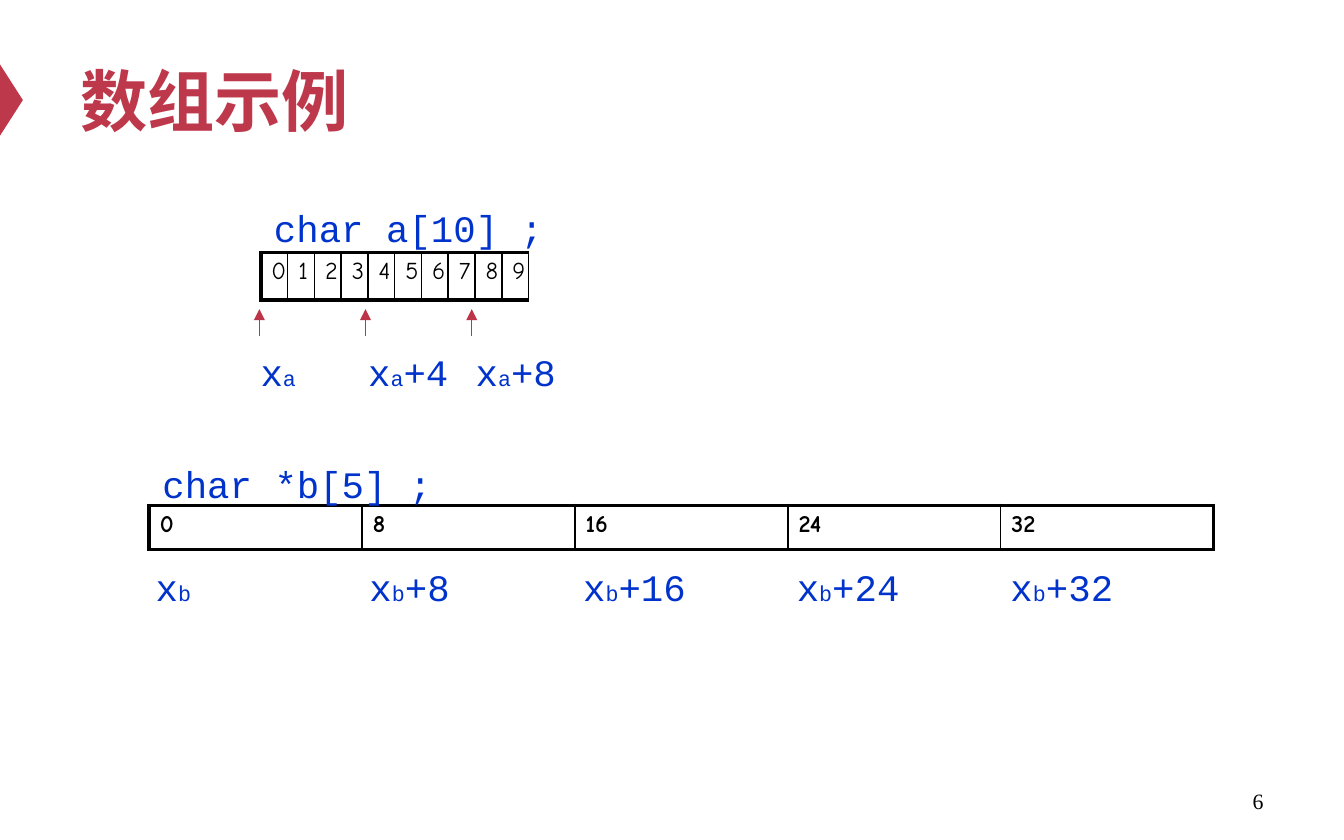
import pptx
import pptx.dml.color
import pptx.enum.shapes
import pptx.enum.text
import pptx.oxml.ns
import pptx.oxml.xmlchemy
import pptx.util
import lxml.etree

RED = pptx.dml.color.RGBColor(0xBE, 0x38, 0x4B)
ARROW_RED = pptx.dml.color.RGBColor(0xBD, 0x33, 0x47)
BLUE = pptx.dml.color.RGBColor(0x00, 0x33, 0xCC)
BLACK = pptx.dml.color.RGBColor(0x00, 0x00, 0x00)

EMU_PER_PX = 9144
THIN = 1
THICK = 2.25

ALIGN = pptx.enum.text.PP_ALIGN
ANCHOR = pptx.enum.text.MSO_ANCHOR
SHAPE = pptx.enum.shapes.MSO_SHAPE
CONNECTOR = pptx.enum.shapes.MSO_CONNECTOR

TITLE = {"name": "Arial", "size": 36, "bold": True, "color": RED}
CODE = {"name": "Courier New", "size": 20, "color": BLUE}
CELL = {"name": "Comic Neue", "size": 13, "color": BLACK}
CELL_BOLD = {**CELL, "bold": True}
NUMBER = {"name": "Times New Roman", "size": 11.7, "color": BLACK}


def px(length):
    return pptx.util.Emu(round(length * EMU_PER_PX))


def add_element(parent, tag, **attributes):
    return lxml.etree.SubElement(parent, pptx.oxml.ns.qn(tag), attributes)


def set_attributes(target, values):
    for name, value in values.items():
        setattr(target, name, value)


class SlideBuilder:
    def __init__(self, slide):
        self.slide = slide
        self.shapes = slide.shapes

    def style_font(self, font, style):
        values = dict(style)
        font.color.rgb = values.pop("color")
        values["size"] = pptx.util.Pt(values["size"])
        set_attributes(font, values)

    def text(self, left, top, width, height, runs, style, frame_format, align=ALIGN.LEFT):
        box = self.shapes.add_textbox(px(left), px(top), px(width), px(height))
        set_attributes(box.text_frame, frame_format)
        paragraph = box.text_frame.paragraphs[0]
        paragraph.alignment = align
        for content, baseline in runs:
            run = paragraph.add_run()
            run.text = content
            self.style_font(run.font, style)
            if baseline:
                run.font._element.set("baseline", str(baseline))

    def code(self, left, top, width, *runs):
        frame_format = {"word_wrap": False, "margin_top": px(10), "margin_bottom": px(0)}
        self.text(left, top, width, 44, runs, CODE, frame_format)

    def address(self, left, top, array, offset):
        runs = [("x", 0), (array, -25)]
        if offset:
            runs.append((offset, 0))
        self.code(left, top, 48 + 17 * len(offset), *runs)

    def border(self, cell, widths):
        properties = cell._tc.get_or_add_tcPr()
        for side, width in widths.items():
            line = add_element(properties, f"a:ln{side}", w=str(pptx.util.Pt(width)))
            fill = add_element(line, "a:solidFill")
            add_element(fill, "a:srgbClr", val=str(BLACK))

    def array(self, left, top, width, height, labels, style, align, right_border):
        count = len(labels)
        frame = self.shapes.add_table(1, count, px(left), px(top), px(width), px(height))
        table = frame.table
        set_attributes(table, {"first_row": False, "horz_banding": False})
        table.rows[0].height = px(height)
        for index, label in enumerate(labels):
            table.columns[index].width = px(width / count)
            cell = table.cell(0, index)
            cell.text = label
            margins = {"margin_left": 8, "margin_right": 8, "margin_top": 4, "margin_bottom": 4}
            set_attributes(cell, {name: px(value) for name, value in margins.items()})
            paragraph = cell.text_frame.paragraphs[0]
            paragraph.alignment = align
            self.style_font(paragraph.runs[0].font, style)
            self.border(cell, {
                "L": THICK if index == 0 else THIN,
                "R": right_border if index == count - 1 else THIN,
                "T": THICK,
                "B": THICK,
            })
            cell.fill.background()

    def triangle(self, left, top, width, height, rotation):
        shape = self.shapes.add_shape(
            SHAPE.ISOSCELES_TRIANGLE, px(left), px(top), px(width), px(height))
        shape.rotation = rotation
        shape.shadow.inherit = False
        shape.fill.solid()
        shape.fill.fore_color.rgb = RED
        shape.line.fill.background()

    def up_arrow(self, x, bottom, top):
        connector = self.shapes.add_connector(
            CONNECTOR.STRAIGHT, px(x), px(bottom), px(x), px(top))
        connector.line.color.rgb = ARROW_RED
        connector.line.width = pptx.util.Pt(0.75)
        properties = connector._element.spPr
        add_element(properties.find(pptx.oxml.ns.qn("a:ln")), "a:tailEnd", type="triangle")
        add_element(properties, "a:effectLst")


def main():
    presentation = pptx.Presentation()
    presentation.slide_width = px(1000)
    presentation.slide_height = px(625)
    builder = SlideBuilder(presentation.slides.add_slide(presentation.slide_layouts[6]))

    middle = {"word_wrap": True, "vertical_anchor": ANCHOR.MIDDLE}
    builder.triangle(-18, 66, 53, 17, 90)
    builder.text(717, 579, 233, 33, [("6", 0)], NUMBER, middle, ALIGN.RIGHT)
    builder.text(50, 25, 900, 98, [("数组示例", 0)], TITLE, middle)

    char_indexes = [str(index) for index in range(10)]
    pointer_offsets = [str(8 * index) for index in range(5)]
    builder.array(194, 188, 194, 35, char_indexes, CELL, ALIGN.CENTER, THIN)
    builder.array(111, 376, 792, 33, pointer_offsets, CELL_BOLD, ALIGN.LEFT, THICK)

    builder.code(194, 143, 222, ("char a[10] ;", 0))
    builder.code(111, 333, 222, ("char *b[5] ;", 0))

    for index, offset in enumerate(["", "+4", "+8"]):
        builder.address(184 + 80 * index, 250, "a", offset)
        builder.up_arrow(193 + 79 * index, 250, 230)
    for index, offset in enumerate(["", "+8", "+16", "+24", "+32"]):
        builder.address(106 + 159 * index, 410, "b", offset)

    presentation.save("out.pptx")


if __name__ == "__main__":
    main()
